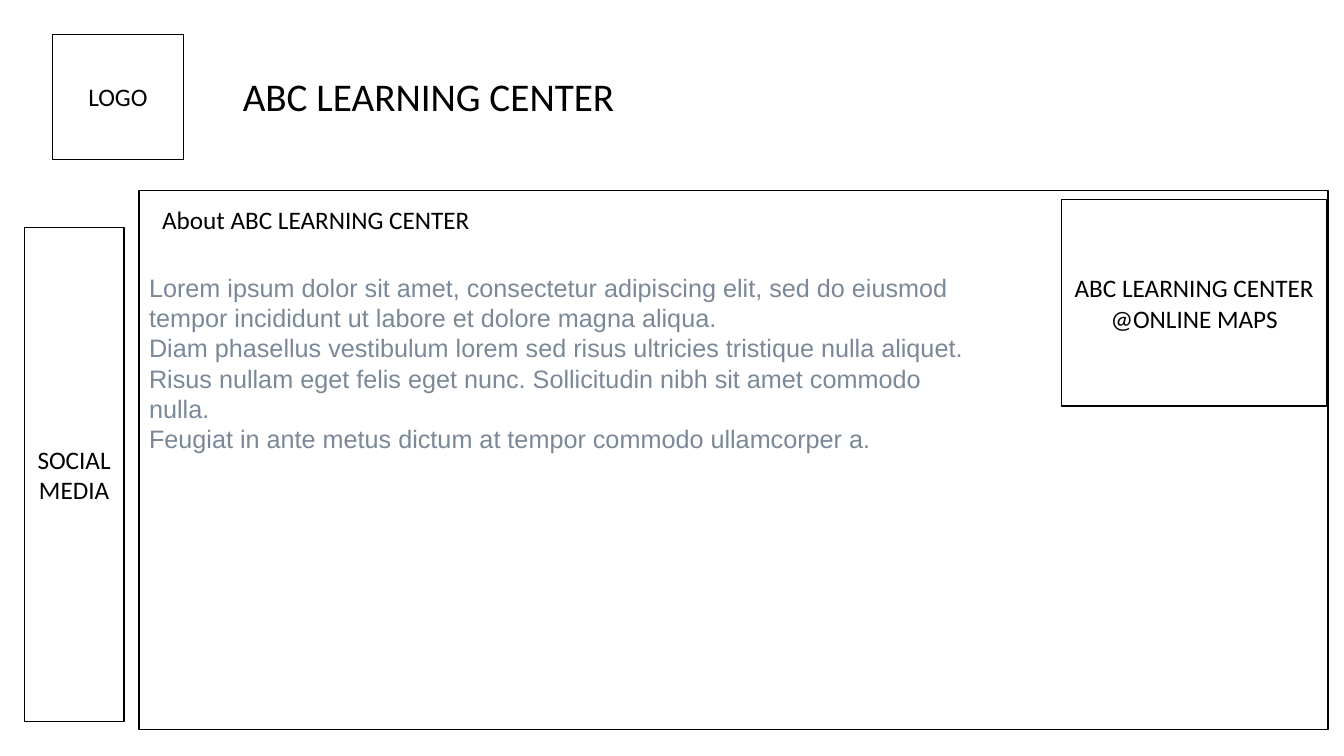
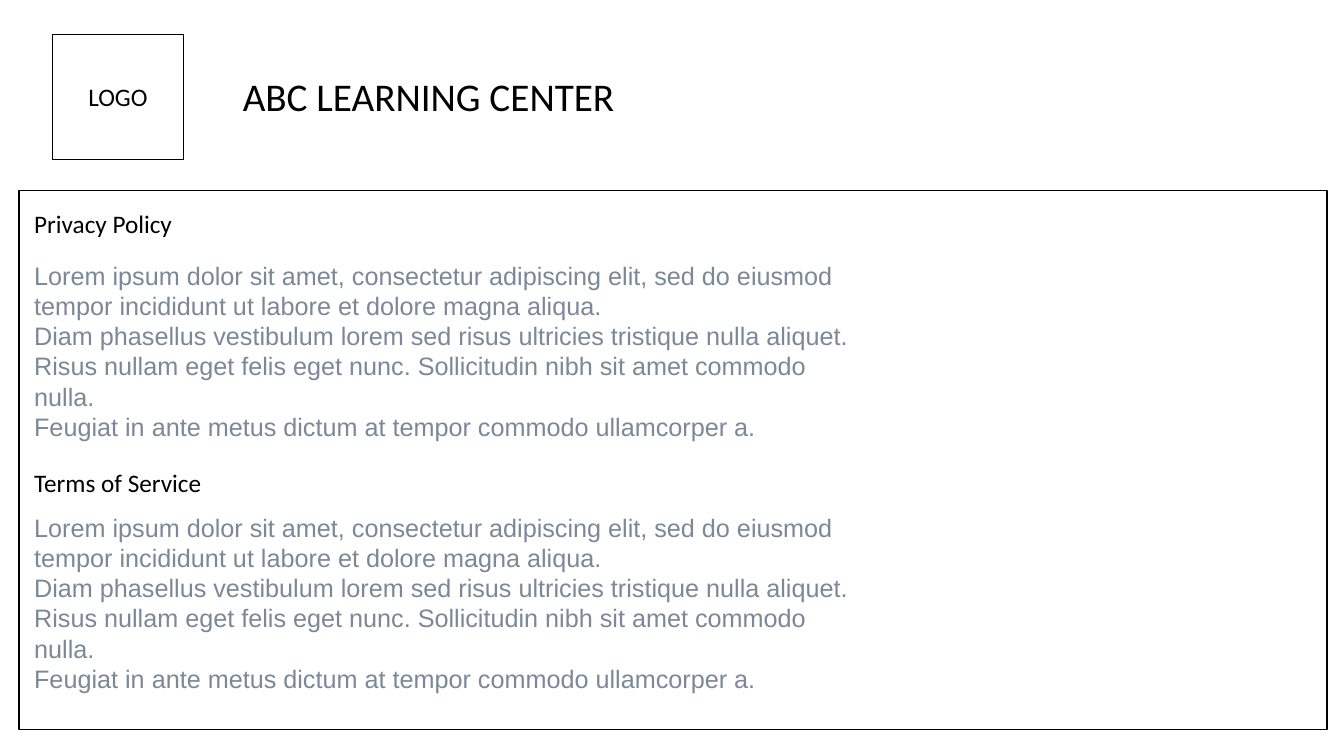
from dataclasses import dataclass

from pptx import Presentation
from pptx.dml.color import RGBColor
from pptx.enum.shapes import MSO_SHAPE as Shape
from pptx.enum.text import MSO_ANCHOR as Anchor
from pptx.enum.text import MSO_AUTO_SIZE as AutoSize
from pptx.enum.text import PP_ALIGN as Align
from pptx.presentation import Presentation as Deck
from pptx.slide import Slide
from pptx.text.text import TextFrame
from pptx.util import Emu, Pt

EMU_PER_PX = 9144
BLACK = RGBColor(0x00, 0x00, 0x00)
WHITE = RGBColor(0xFF, 0xFF, 0xFF)
SLATE = RGBColor(0x7B, 0x88, 0x98)

CENTER_NAME = "ABC LEARNING CENTER"
LOREM = (
    "Lorem ipsum dolor sit amet, consectetur adipiscing elit, sed do eiusmod "
    "tempor incididunt ut labore et dolore magna aliqua.",
    "Diam phasellus vestibulum lorem sed risus ultricies tristique nulla aliquet. "
    "Risus nullam eget felis eget nunc. Sollicitudin nibh sit amet commodo nulla.",
    "Feugiat in ante metus dictum at tempor commodo ullamcorper a.",
)


@dataclass(frozen=True)
class TextStyle:
    font: str
    size: int
    color: RGBColor
    align: Align = Align.LEFT


@dataclass(frozen=True)
class Area:
    left: int
    top: int
    width: int
    height: int


@dataclass(frozen=True)
class Panel:
    area: Area
    lines: tuple[str, ...] = ()


@dataclass(frozen=True)
class Label:
    area: Area
    lines: tuple[str, ...]
    style: TextStyle
    wrap: bool = True


TITLE = TextStyle("Calibri", 28, BLACK)
HEADING = TextStyle("Calibri", 18, BLACK)
BODY = TextStyle("Arial", 18, SLATE)
PANEL_TEXT = TextStyle("Calibri", 18, BLACK, Align.CENTER)


def px(length: int) -> Emu:
    return Emu(length * EMU_PER_PX)


def place(area: Area) -> tuple[Emu, Emu, Emu, Emu]:
    return px(area.left), px(area.top), px(area.width), px(area.height)


def write(frame: TextFrame, lines: tuple[str, ...], style: TextStyle) -> None:
    for index, line in enumerate(lines):
        para = frame.add_paragraph() if index else frame.paragraphs[0]
        para.text = line
        para.alignment = style.align
        para.font.name = style.font
        para.font.size = Pt(style.size)
        para.font.color.rgb = style.color


def draw_panel(page: Slide, panel: Panel) -> None:
    box = page.shapes.add_shape(Shape.RECTANGLE, *place(panel.area))
    box.shadow.inherit = False
    box.fill.solid()
    box.fill.fore_color.rgb = WHITE
    box.line.color.rgb = BLACK
    box.line.width = Pt(1)
    box.text_frame.vertical_anchor = Anchor.MIDDLE
    write(box.text_frame, panel.lines, PANEL_TEXT)


def draw_label(page: Slide, label: Label) -> None:
    frame = page.shapes.add_textbox(*place(label.area)).text_frame
    frame.word_wrap = label.wrap
    frame.auto_size = AutoSize.SHAPE_TO_FIT_TEXT
    write(frame, label.lines, label.style)


def heading(left: int, top: int, width: int, text: str) -> Label:
    return Label(Area(left, top, width, 40), (text,), HEADING, wrap=False)


def body(left: int, top: int) -> Label:
    return Label(Area(left, top, 835, 162), LOREM, BODY)


HEADER = (
    Panel(Area(52, 34, 130, 124), ("LOGO",)),
    Label(Area(231, 67, 414, 57), (CENTER_NAME,), TITLE),
)
ABOUT = (
    Panel(Area(24, 226, 99, 490), ("SOCIAL", "MEDIA")),
    Panel(Area(138, 189, 1179, 535)),
    Panel(Area(1053, 198, 263, 205), (f"{CENTER_NAME} @ONLINE MAPS",)),
    heading(151, 198, 328, f"About {CENTER_NAME}"),
    body(138, 265),
)
POLICIES = (
    Panel(Area(19, 189, 1297, 535)),
    heading(24, 202, 158, "Privacy Policy"),
    body(24, 253),
    heading(24, 459, 188, "Terms of Service"),
    body(24, 503),
)


def add_page(deck: Deck, items: tuple[Panel | Label, ...]) -> None:
    page = deck.slides.add_slide(deck.slide_layouts[6])
    for item in HEADER + items:
        if isinstance(item, Panel):
            draw_panel(page, item)
        else:
            draw_label(page, item)


def main() -> None:
    deck = Presentation()
    deck.slide_width = px(1333)
    deck.slide_height = px(750)
    for items in (ABOUT, POLICIES):
        add_page(deck, items)
    deck.save("out.pptx")


if __name__ == "__main__":
    main()
